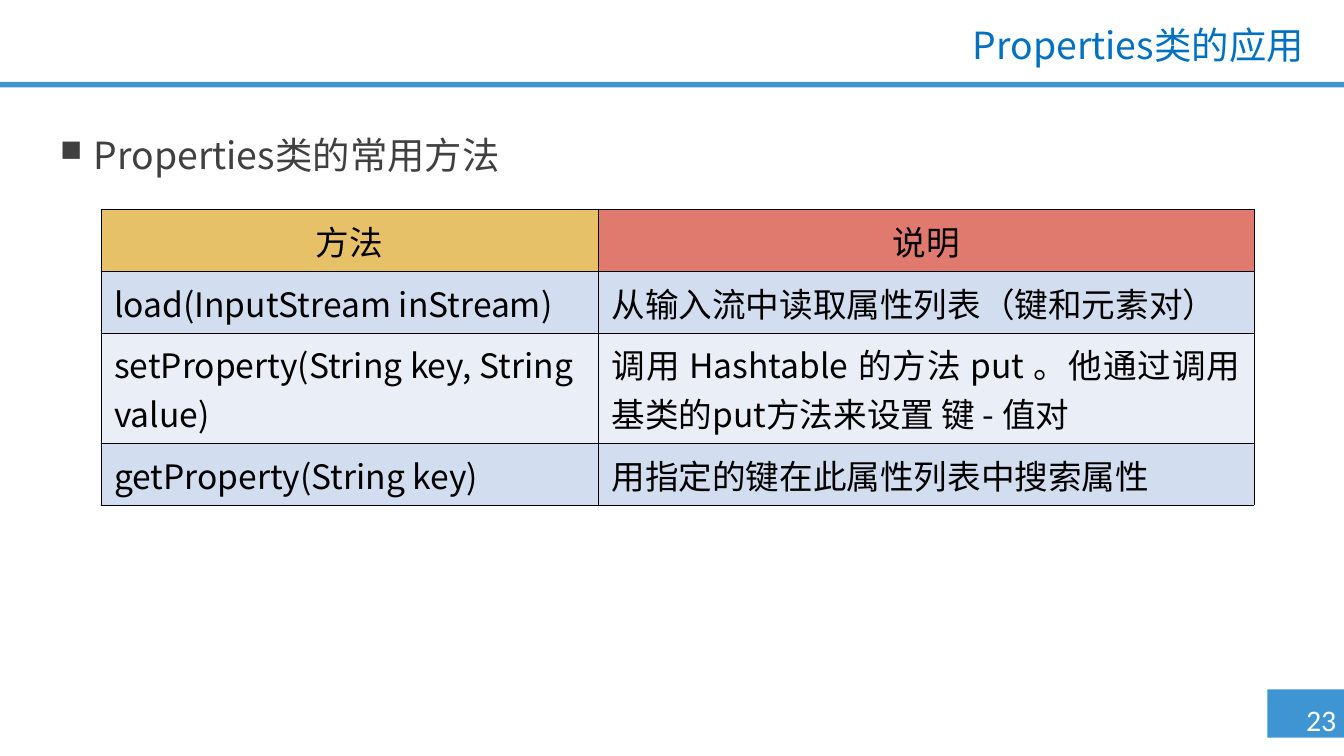
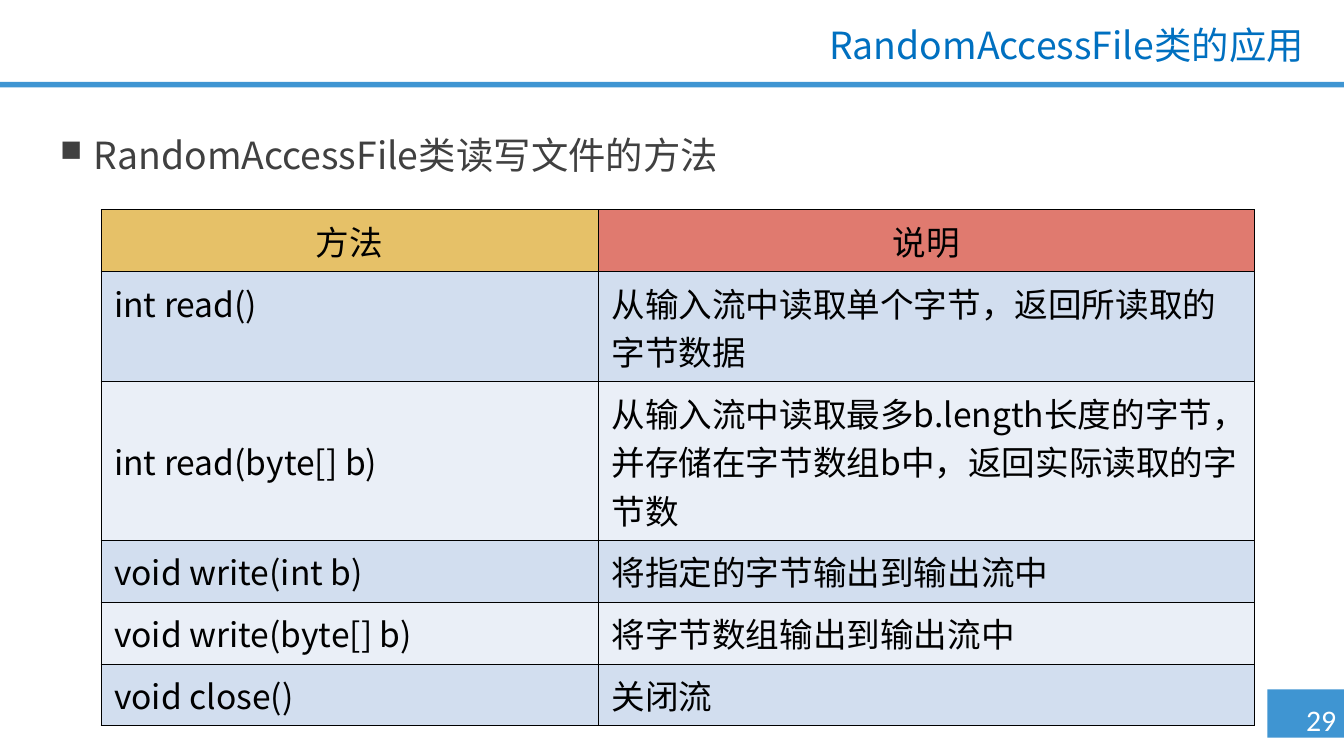
from dataclasses import dataclass

from lxml import etree
from pptx import Presentation
from pptx.dml.color import RGBColor
from pptx.enum.shapes import MSO_SHAPE
from pptx.enum.text import MSO_ANCHOR, PP_ALIGN
from pptx.oxml.ns import qn
from pptx.util import Inches, Pt

RECTANGLE = MSO_SHAPE.RECTANGLE
TOP, MIDDLE = MSO_ANCHOR.TOP, MSO_ANCHOR.MIDDLE
LEFT, CENTER, RIGHT, JUSTIFY = PP_ALIGN.LEFT, PP_ALIGN.CENTER, PP_ALIGN.RIGHT, PP_ALIGN.JUSTIFY

BODY_FONT = "Noto Sans CJK SC"
TITLE_FONT = "Lato"
NUMBER_FONT = "Calibri"

BAND_BLUE = "3F95D2"
TITLE_BLUE = "0070C0"
HEADING_GRAY = "404040"
WHITE = "FFFFFF"
BLACK = "000000"
HEADER_FILLS = ("E6C168", "E07A6F")
ROW_FILLS = ("D2DEEF", "EAEFF7")

COLUMN_WIDTHS = (3.7, 4.88)
LINE_HEIGHT = 0.36
ROW_PADDING = 0.1
BORDER_WIDTH = Pt(0.25)


@dataclass(frozen=True)
class Box:
    left: float
    top: float
    width: float
    height: float

    def lengths(self) -> tuple:
        return tuple(Inches(value) for value in (self.left, self.top, self.width, self.height))


@dataclass(frozen=True)
class MethodRow:
    method: str
    description: str
    lines: int = 1

    def height(self) -> float:
        return ROW_PADDING + LINE_HEIGHT * self.lines


@dataclass(frozen=True)
class MethodSlide:
    class_name: str
    heading: str
    number: str
    rows: tuple
    description_alignment: PP_ALIGN


BANDS = (Box(9.43, 5.13, 0.57, 0.36), Box(0, 0.61, 10, 0.04))
NUMBER_BOX = Box(9.57, 5.17, 0.52, 0.37)
TITLE_BOX = Box(2.4, 0.15, 7.4, 0.41)
HEADING_BOX = Box(0.35, 0.92, 9.13, 0.46)

HEADER_ROW = MethodRow("方法", "说明")

METHOD_SLIDES = (
    MethodSlide(
        "Properties",
        "Properties类的常用方法",
        "23",
        (
            MethodRow("load(InputStream inStream)", "从输入流中读取属性列表（键和元素对）"),
            MethodRow(
                "setProperty(String key, String value)",
                "调用 Hashtable 的方法 put 。他通过调用基类的put方法来设置 键 - 值对",
                2,
            ),
            MethodRow("getProperty(String key)", "用指定的键在此属性列表中搜索属性"),
        ),
        JUSTIFY,
    ),
    MethodSlide(
        "RandomAccessFile",
        "RandomAccessFile类读写文件的方法",
        "29",
        (
            MethodRow("int read()", "从输入流中读取单个字节，返回所读取的字节数据", 2),
            MethodRow(
                "int read(byte[] b)",
                "从输入流中读取最多b.length长度的字节，并存储在字节数组b中，返回实际读取的字节数",
                3,
            ),
            MethodRow("void write(int b)", "将指定的字节输出到输出流中"),
            MethodRow("void write(byte[] b)", "将字节数组输出到输出流中"),
            MethodRow("void close()", "关闭流"),
        ),
        LEFT,
    ),
)


def color(value: str) -> RGBColor:
    return RGBColor.from_string(value)


def format_run(run, size: float, font_name: str, font_color: str) -> None:
    run.font.size = Pt(size)
    run.font.name = font_name
    run.font.color.rgb = color(font_color)
    east_asian = etree.SubElement(run.font._element, qn("a:ea"))
    east_asian.set("typeface", BODY_FONT)


def add_text_box(slide, box: Box, text: str, wrap: bool = True, anchor=TOP):
    text_frame = slide.shapes.add_textbox(*box.lengths()).text_frame
    text_frame.word_wrap = wrap
    text_frame.vertical_anchor = anchor
    text_frame.text = text
    return text_frame.paragraphs[0]


def add_bands(slide) -> None:
    for box in BANDS:
        shape = slide.shapes.add_shape(RECTANGLE, *box.lengths())
        shape.shadow.inherit = False
        shape.fill.solid()
        shape.fill.fore_color.rgb = color(BAND_BLUE)
        shape.line.fill.background()


def add_number(slide, number: str) -> None:
    paragraph = add_text_box(slide, NUMBER_BOX, number, wrap=False)
    paragraph.alignment = CENTER
    format_run(paragraph.runs[0], 16, NUMBER_FONT, WHITE)


def add_title(slide, class_name: str) -> None:
    paragraph = add_text_box(slide, TITLE_BOX, class_name, anchor=MIDDLE)
    paragraph.alignment = RIGHT
    paragraph.line_spacing = 0.9
    paragraph.add_run().text = "类的应用"
    for run, font_name in zip(paragraph.runs, (BODY_FONT, TITLE_FONT)):
        format_run(run, 20, font_name, TITLE_BLUE)


def add_heading(slide, heading: str) -> None:
    paragraph = add_text_box(slide, HEADING_BOX, heading)
    properties = paragraph._p.get_or_add_pPr()
    properties.set("marL", str(Inches(0.25)))
    properties.set("indent", str(-Inches(0.25)))
    etree.SubElement(properties, qn("a:buSzPct")).set("val", "80000")
    etree.SubElement(properties, qn("a:buChar")).set("char", "■")
    paragraph.line_spacing = Pt(25)
    format_run(paragraph.runs[0], 20, BODY_FONT, HEADING_GRAY)


def add_cell_borders(cell) -> None:
    properties = cell._tc.get_or_add_tcPr()
    for side in ("a:lnL", "a:lnR", "a:lnT", "a:lnB"):
        line = etree.SubElement(properties, qn(side), w=str(BORDER_WIDTH))
        fill = etree.SubElement(line, qn("a:solidFill"))
        etree.SubElement(fill, qn("a:srgbClr"), val=BLACK)


def fill_cell(cell, text: str, fill_color: str, alignment: PP_ALIGN, anchor: MSO_ANCHOR) -> None:
    add_cell_borders(cell)
    cell.fill.solid()
    cell.fill.fore_color.rgb = color(fill_color)
    cell.vertical_anchor = anchor
    cell.text_frame.text = text
    paragraph = cell.text_frame.paragraphs[0]
    paragraph.alignment = alignment
    format_run(paragraph.runs[0], 18, BODY_FONT, BLACK)


def add_method_table(slide, method_rows: tuple, description_alignment: PP_ALIGN) -> None:
    rows = (HEADER_ROW, *method_rows)
    box = Box(0.75, 1.56, sum(COLUMN_WIDTHS), sum(row.height() for row in rows))
    table = slide.shapes.add_table(len(rows), len(COLUMN_WIDTHS), *box.lengths()).table
    for column, width in zip(table.columns, COLUMN_WIDTHS):
        column.width = Inches(width)
    alignments = (LEFT, description_alignment)
    for row_index, row in enumerate(rows):
        table.rows[row_index].height = Inches(row.height())
        is_header = row_index == 0
        is_even = not is_header and row_index % 2 == 0
        for column_index, text in enumerate((row.method, row.description)):
            fill_cell(
                table.cell(row_index, column_index),
                text,
                HEADER_FILLS[column_index] if is_header else ROW_FILLS[is_even],
                CENTER if is_header else alignments[column_index],
                MIDDLE if is_even and column_index == 0 else TOP,
            )


def add_method_slide(presentation, content: MethodSlide) -> None:
    slide = presentation.slides.add_slide(presentation.slide_layouts[6])
    add_bands(slide)
    add_number(slide, content.number)
    add_title(slide, content.class_name)
    add_heading(slide, content.heading)
    add_method_table(slide, content.rows, content.description_alignment)


def main() -> None:
    presentation = Presentation()
    presentation.slide_width = Inches(10)
    presentation.slide_height = Inches(10 * 9 / 16)
    for content in METHOD_SLIDES:
        add_method_slide(presentation, content)
    presentation.save("out.pptx")


if __name__ == "__main__":
    main()
